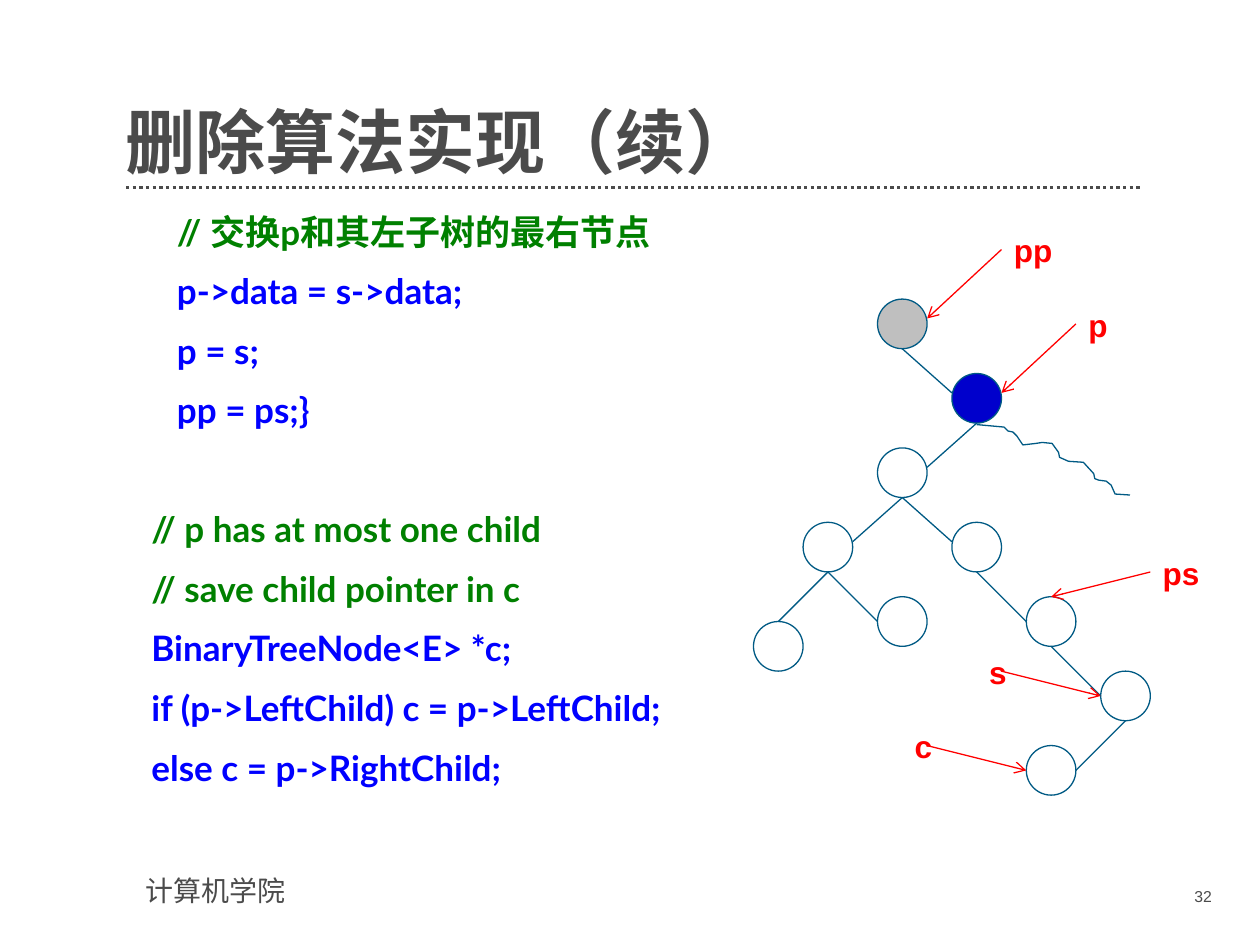
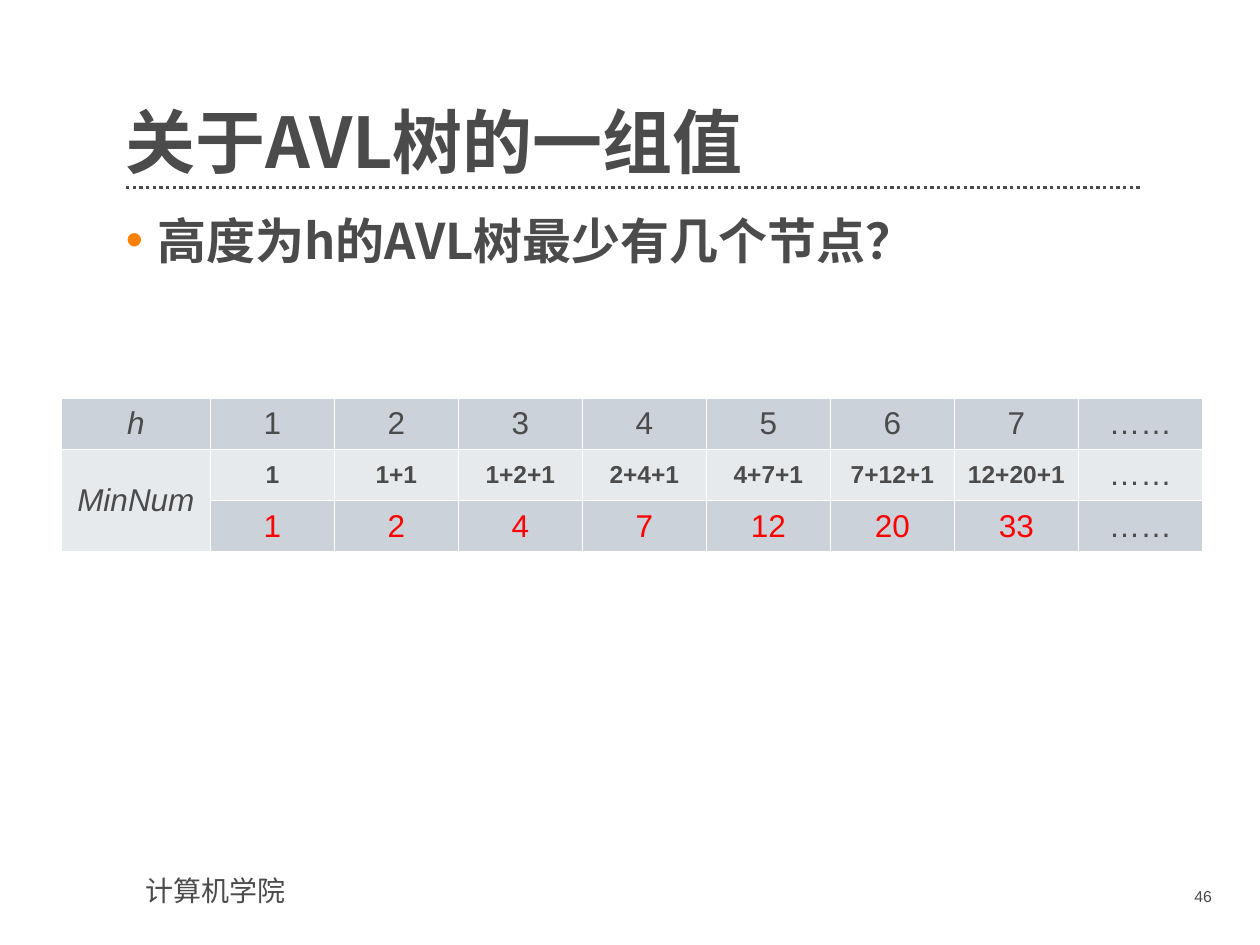
from dataclasses import dataclass
from typing import NamedTuple

from lxml import etree
from pptx import Presentation
from pptx.dml.color import RGBColor
from pptx.enum.dml import MSO_LINE
from pptx.enum.shapes import MSO_CONNECTOR, MSO_SHAPE
from pptx.enum.text import MSO_ANCHOR, PP_ALIGN
from pptx.oxml.ns import qn
from pptx.util import Cm, Pt

STRAIGHT = MSO_CONNECTOR.STRAIGHT
OVAL = MSO_SHAPE.OVAL
DOTTED = MSO_LINE.ROUND_DOT
TOP, MIDDLE, BOTTOM = MSO_ANCHOR.TOP, MSO_ANCHOR.MIDDLE, MSO_ANCHOR.BOTTOM
LEFT, CENTER, RIGHT = PP_ALIGN.LEFT, PP_ALIGN.CENTER, PP_ALIGN.RIGHT


@dataclass(frozen=True)
class Theme:
    ink: RGBColor = RGBColor(0x4B, 0x4B, 0x4B)
    tree: RGBColor = RGBColor(0x00, 0x5A, 0x84)
    red: RGBColor = RGBColor(0xFF, 0x00, 0x00)
    code: RGBColor = RGBColor(0x00, 0x00, 0xFF)
    comment: RGBColor = RGBColor(0x00, 0x80, 0x00)
    target: RGBColor = RGBColor(0x00, 0x00, 0xCC)
    parent: RGBColor = RGBColor(0xBF, 0xBF, 0xBF)
    dark_row: RGBColor = RGBColor(0xCC, 0xD2, 0xD9)
    light_row: RGBColor = RGBColor(0xE7, 0xEA, 0xED)
    bullet: str = "FF8000"
    border: str = "FFFFFF"
    latin: str = "Arial"
    code_font: str = "Lato"
    chinese: str = "Noto Sans CJK SC"
    title_size: int = 40
    body_size: int = 28
    code_size: int = 20
    label_size: int = 18
    footer_size: int = 16
    sum_size: int = 14
    number_size: int = 9
    thin: float = 0.75
    rule: float = 1.9


THEME = Theme()


class TextStyle(NamedTuple):
    size: int
    color: RGBColor = THEME.ink
    bold: bool = False
    italic: bool = False
    font: str = THEME.latin
    east: str = ""


class Area(NamedTuple):
    left: float
    top: float
    width: float
    height: float


class Point(NamedTuple):
    x: float
    y: float


class Node(NamedTuple):
    column: int
    row: int
    fill: RGBColor | None = None

    def at(self, side: str, lift: float = 0) -> Point:
        across, down = {"top": (0.5, 0), "left": (0, 0.5),
                        "bottom": (0.5, 1), "right": (1, 0.5)}[side]
        corner = grid_point(self.column, self.row)
        return Point(corner.x + across * DIAMETER, corner.y + down * DIAMETER - lift)


class Edge(NamedTuple):
    parent: str
    child: str
    side: str
    lift: float = 0


class Pointer(NamedTuple):
    name: str
    column: int
    row: int
    node: str
    side: str
    lift: float = 0
    label_shift: float = 0


class CodeLine(NamedTuple):
    text: str
    color: RGBColor = THEME.code
    space: int = 10


TITLE = TextStyle(THEME.title_size, bold=True, font=THEME.chinese, east=THEME.chinese)
QUESTION = TITLE._replace(size=THEME.body_size)
CODE = TextStyle(THEME.code_size, bold=True, font=THEME.code_font, east=THEME.chinese)
LABEL = TextStyle(THEME.label_size, THEME.red, bold=True)
CELL = TextStyle(THEME.label_size)

BODY = Area(2.54, 4.24, 20.47, 12.7)
BODY_INSETS = (0, 0, 0.5, 0)
GRID_LEFT, GRID_TOP, GRID_STEP, DIAMETER = 15.19, 6.03, 0.5, 1.0
LIFT = 0.11

CODE_LINES = (
    CodeLine("      // 交换p和其左子树的最右节点", THEME.comment, 0),
    CodeLine("      p->data = s->data;"),
    CodeLine("      p = s;"),
    CodeLine("      pp = ps;}"),
    CodeLine("   // p has at most one child", THEME.comment, 44),
    CodeLine("   // save child pointer in c", THEME.comment),
    CodeLine("   BinaryTreeNode<E> *c;"),
    CodeLine("   if (p->LeftChild) c = p->LeftChild;"),
    CodeLine("   else c = p->RightChild;"),
)

NODES = {
    "pp": Node(5, 0, THEME.parent),
    "p": Node(8, 3, THEME.target),
    "left": Node(5, 6),
    "inner": Node(2, 9),
    "ps_parent": Node(8, 9),
    "inner_left": Node(0, 13),
    "inner_right": Node(5, 12),
    "ps": Node(11, 12),
    "s": Node(14, 15),
    "c": Node(11, 18),
}

EDGES = (
    Edge("pp", "p", "left", LIFT),
    Edge("p", "left", "right", LIFT),
    Edge("left", "inner", "right", LIFT),
    Edge("left", "ps_parent", "left", LIFT),
    Edge("inner", "inner_left", "top"),
    Edge("inner", "inner_right", "left"),
    Edge("ps_parent", "ps", "left"),
    Edge("ps", "s", "left"),
    Edge("s", "c", "right"),
)

POINTERS = (
    Pointer("pp", 10, -2, "pp", "right", LIFT),
    Pointer("p", 13, 1, "p", "right", LIFT),
    Pointer("ps", 16, 11, "ps", "top"),
    Pointer("s", 10, 15, "s", "left", label_shift=-0.5),
    Pointer("c", 7, 18, "c", "left", label_shift=-0.5),
)

SUBTREE_CURVE = (
    (1969, 856), (2024, 861), (2032, 869), (2042, 871), (2050, 879),
    (2062, 897), (2088, 894), (2101, 892), (2121, 894), (2134, 912),
    (2136, 922), (2154, 930), (2184, 932), (2205, 955), (2207, 965),
    (2215, 968), (2230, 970), (2240, 978), (2248, 996), (2278, 998),
)

TABLE_ROWS = (
    ("h", "1", "2", "3", "4", "5", "6", "7", "……"),
    ("MinNum", "1", "1+1", "1+2+1", "2+4+1", "4+7+1", "7+12+1", "12+20+1", "……"),
    ("", "1", "2", "4", "7", "12", "20", "33", "……"),
)
ROW_STYLES = (CELL, CELL._replace(size=THEME.sum_size, bold=True),
              CELL._replace(color=THEME.red))
ROW_FILLS = (THEME.dark_row, THEME.light_row, THEME.dark_row)


def grid_point(column: int, row: int) -> Point:
    return Point(GRID_LEFT + column * GRID_STEP, GRID_TOP + row * GRID_STEP)


def style_paragraph(para, style: TextStyle) -> None:
    font = para.font
    font.name, font.size = style.font, Pt(style.size)
    font.bold, font.italic = style.bold, style.italic
    font.color.rgb = style.color
    if style.east:
        defaults = para._p.pPr.find(qn("a:defRPr"))
        etree.SubElement(defaults, qn("a:ea"), typeface=style.east)


def add_frame(page, area: Area, insets=(0.25, 0.13, 0.25, 0.13), anchor=TOP):
    frame = page.shapes.add_textbox(*map(Cm, area)).text_frame
    frame.word_wrap = True
    frame.vertical_anchor = anchor
    (frame.margin_left, frame.margin_top,
     frame.margin_right, frame.margin_bottom) = map(Cm, insets)
    return frame


def add_text(page, area: Area, text: str, style: TextStyle, align=LEFT, **options):
    para = add_frame(page, area, **options).paragraphs[0]
    para.text = text
    para.alignment = align
    style_paragraph(para, style)
    return para


def add_line(page, start: Point, end: Point, color: RGBColor,
             width: float = THEME.thin, arrow: bool = False):
    connector = page.shapes.add_connector(STRAIGHT, *map(Cm, (*start, *end)))
    connector.line.color.rgb = color
    connector.line.width = Pt(width)
    if arrow:
        etree.SubElement(connector.get_or_add_ln(), qn("a:tailEnd"), type="arrow")
    etree.SubElement(connector.element.spPr, qn("a:effectLst"))
    return connector


def outline(shape, fill: RGBColor | None = None) -> None:
    shape.shadow.inherit = False
    shape.line.color.rgb = THEME.tree
    shape.line.width = Pt(THEME.thin)
    if fill is None:
        shape.fill.background()
    else:
        shape.fill.solid()
        shape.fill.fore_color.rgb = fill


def add_page(deck, title: str, number: int):
    page = deck.slides.add_slide(deck.slide_layouts[6])
    rule = add_line(page, Point(2.54, 3.78), Point(23.01, 3.78), THEME.ink, THEME.rule)
    rule.line.dash_style = DOTTED
    add_text(page, Area(2.69, 17.48, 7.01, 0.94), "计算机学院", TextStyle(THEME.footer_size))
    heading = add_text(page, Area(2.54, 1.4, 20.47, 2.31), title, TITLE,
                       insets=(0, 0, 0, 0), anchor=BOTTOM)
    heading.line_spacing = 0.9
    add_text(page, Area(22.17, 17.75, 2.51, 0.74), str(number),
             TextStyle(THEME.number_size), RIGHT)
    return page


def add_code(page) -> None:
    frame = add_frame(page, BODY, insets=BODY_INSETS)
    for index, line in enumerate(CODE_LINES):
        para = frame.add_paragraph() if index else frame.paragraphs[0]
        para.text = line.text
        para.space_before = Pt(line.space)
        style_paragraph(para, CODE._replace(color=line.color))


def add_tree(page) -> None:
    for node in NODES.values():
        corner = grid_point(node.column, node.row)
        outline(page.shapes.add_shape(OVAL, *map(Cm, (*corner, DIAMETER, DIAMETER))), node.fill)
    for edge in EDGES:
        add_line(page, NODES[edge.parent].at("bottom"),
                 NODES[edge.child].at(edge.side, edge.lift), THEME.tree)
    builder = page.shapes.build_freeform(*SUBTREE_CURVE[0], scale=Cm(0.01))
    builder.add_line_segments(SUBTREE_CURVE[1:], close=False)
    outline(builder.convert_to_shape())
    for pointer in POINTERS:
        start = grid_point(pointer.column, pointer.row)
        add_line(page, start, NODES[pointer.node].at(pointer.side, pointer.lift),
                 THEME.red, arrow=True)
        add_text(page, Area(start.x + pointer.label_shift, start.y - 0.5, 1.5, 1.02),
                 pointer.name, LABEL)


def add_bullet(para) -> None:
    properties = para._p.get_or_add_pPr()
    properties.set("marL", str(Cm(0.64)))
    properties.set("indent", str(-Cm(0.64)))
    color = etree.SubElement(properties, qn("a:buClr"))
    etree.SubElement(color, qn("a:srgbClr"), val=THEME.bullet)
    etree.SubElement(properties, qn("a:buFont"), typeface=THEME.latin)
    etree.SubElement(properties, qn("a:buChar"), char="•")


def add_borders(cell) -> None:
    properties = cell._tc.get_or_add_tcPr()
    for side in ("lnL", "lnR", "lnT", "lnB"):
        line = etree.SubElement(properties, qn(f"a:{side}"), w=str(Pt(1)))
        fill = etree.SubElement(line, qn("a:solidFill"))
        etree.SubElement(fill, qn("a:srgbClr"), val=THEME.border)


def add_node_table(page) -> None:
    rows, columns = len(TABLE_ROWS), len(TABLE_ROWS[0])
    table = page.shapes.add_table(rows, columns, *map(Cm, (1.24, 8.03, 23.01, 3.09))).table
    table.first_row = table.horz_banding = False
    for index, column in enumerate(table.columns):
        column.width = Cm(2.5 if index else 3)
    for row, texts in enumerate(TABLE_ROWS):
        table.rows[row].height = Cm(1.03)
        for column, text in enumerate(texts):
            cell = table.cell(row, column)
            add_borders(cell)
            cell.fill.solid()
            cell.fill.fore_color.rgb = ROW_FILLS[row]
            cell.vertical_anchor = MIDDLE
            para = cell.text_frame.paragraphs[0]
            para.text = text
            para.alignment = CENTER
            style = ROW_STYLES[row] if 0 < column < columns - 1 else CELL
            style_paragraph(para, style._replace(italic=column == 0))
    table.cell(1, 0).merge(table.cell(2, 0))


def main() -> None:
    deck = Presentation()
    deck.slide_width, deck.slide_height = Cm(25.4), Cm(19.05)

    deletion = add_page(deck, "删除算法实现（续）", 32)
    add_code(deletion)
    add_tree(deletion)

    balance = add_page(deck, "关于AVL树的一组值", 46)
    frame = add_frame(balance, BODY, insets=BODY_INSETS)
    question = frame.paragraphs[0]
    question.text = "高度为h的AVL树最少有几个节点？"
    add_bullet(question)
    style_paragraph(question, QUESTION)
    add_node_table(balance)

    deck.save("out.pptx")


if __name__ == "__main__":
    main()
